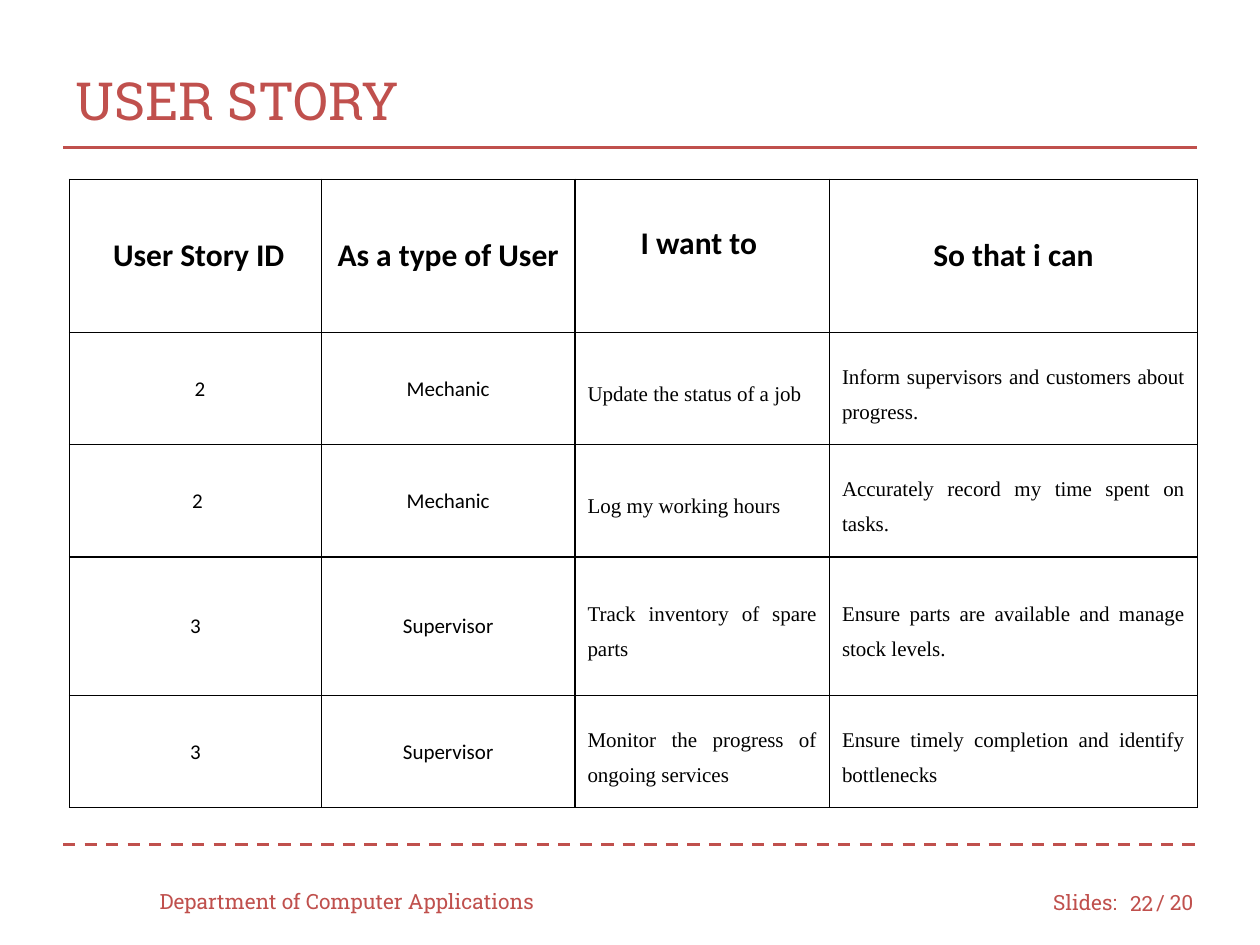
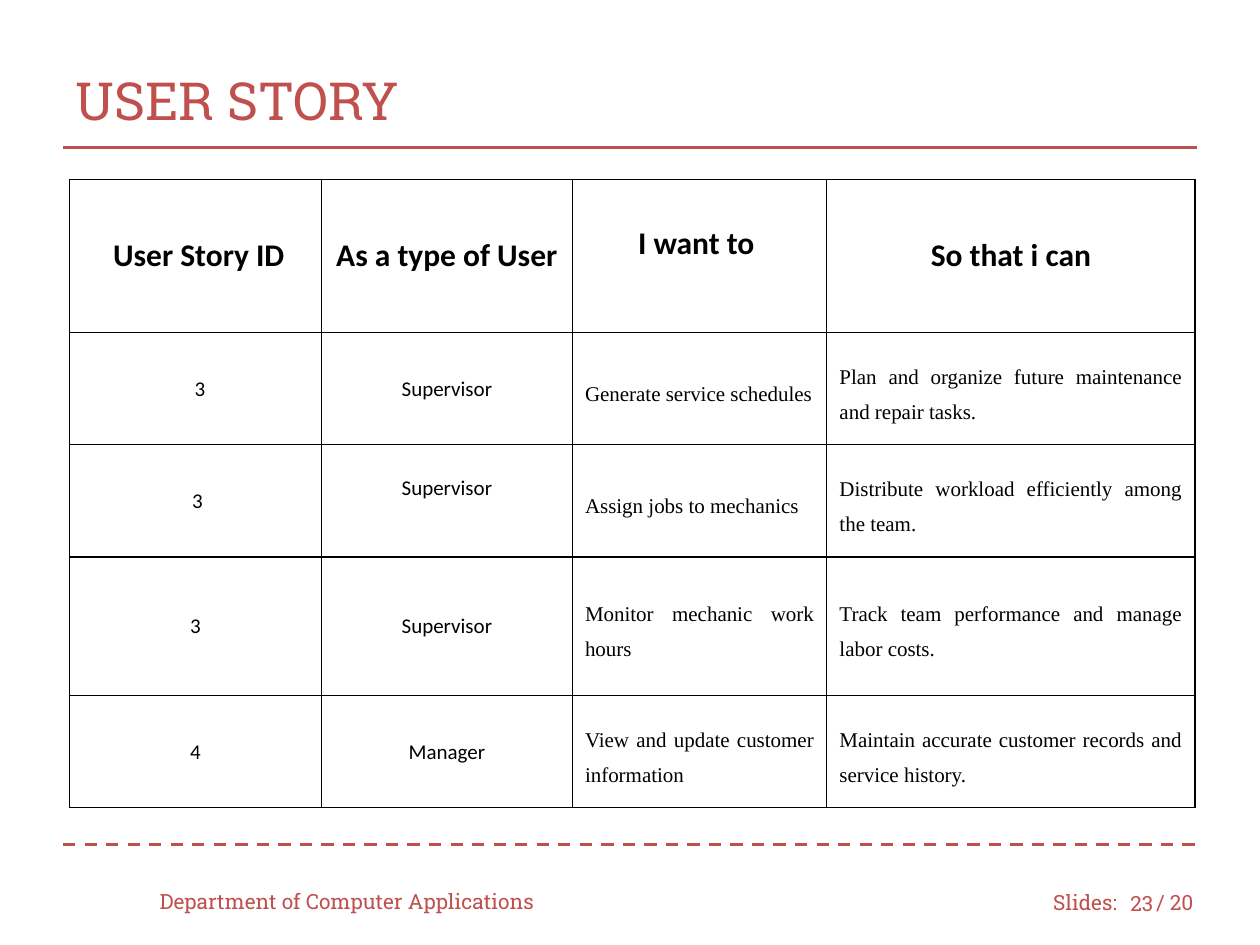
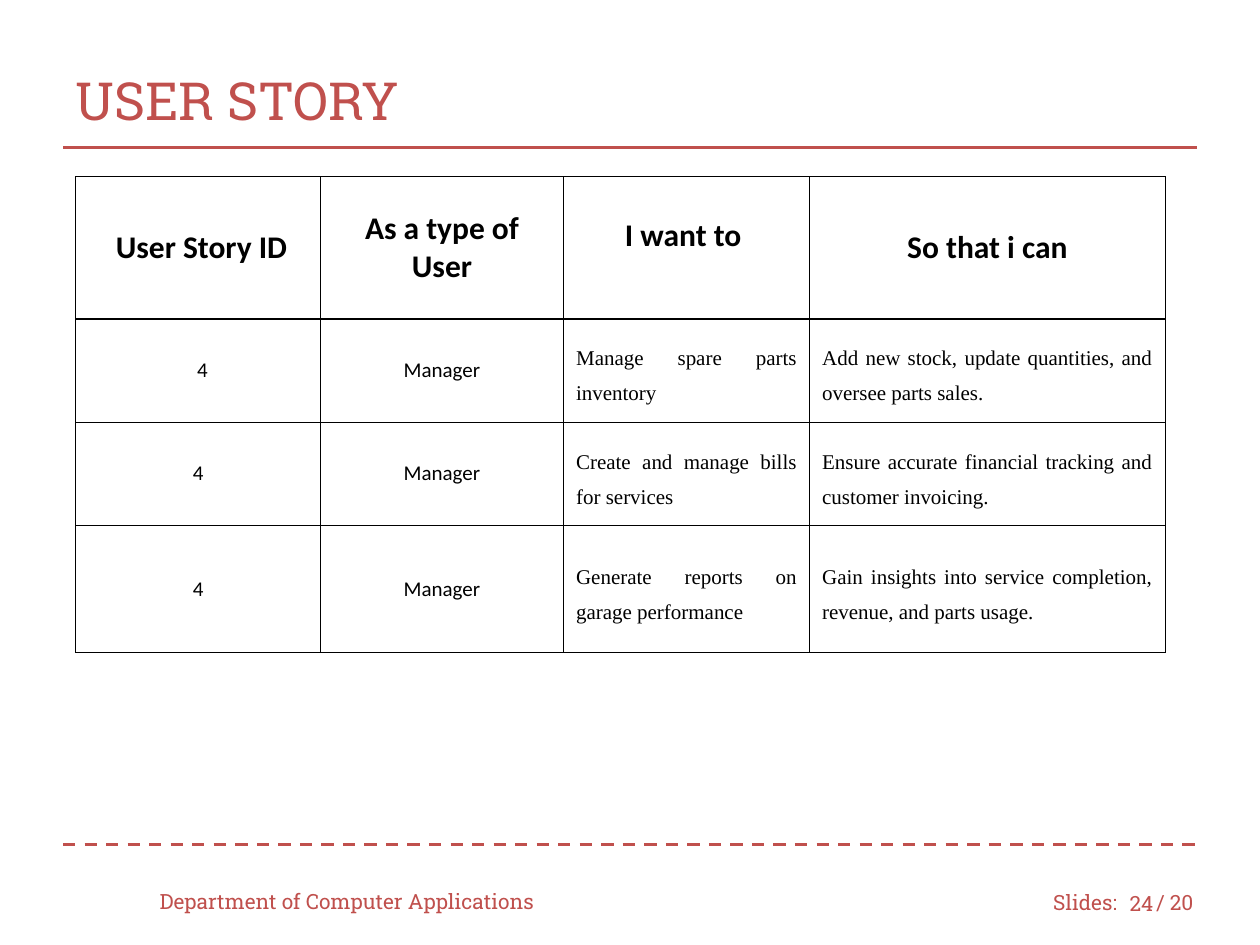
from lxml.etree import SubElement
from pptx import Presentation
from pptx.dml.color import RGBColor
from pptx.enum.dml import MSO_LINE_DASH_STYLE as DASH
from pptx.enum.shapes import MSO_CONNECTOR
from pptx.enum.text import MSO_ANCHOR as ANCHOR, PP_ALIGN as ALIGN
from pptx.oxml.ns import qn
from pptx.util import Cm, Pt

RED, BLACK, WHITE = "C0504D", "000000", "FFFFFF"
TITLE_FONT, LABEL_FONT, STORY_FONT = "Roboto Slab", "Calibri", "Times New Roman"
TITLE = "USER STORY"
DEPARTMENT = "Department of Computer Applications"
FIRST_NUMBER, TOTAL = 22, 20
HEADER = ("User Story ID", "As a type of User", "I want to", "So that i can")

# Lengths in cm. "id_shift" is the extra left margin of the first column by row;
# "raised" lists the (row, column) cells whose text sits above the middle.
SLIDES = [
    {
        "at": (1.4, 3.61),
        "cols": (5.08, 5.11, 5.13, 7.42),
        "rows": (3.1, 2.26, 2.26, 2.8, 2.26),
        "id_shift": (0.14, 0.18, 0.09, 0, 0),
        "raised": [(0, 2)],
        "stories": [
            ("2", "Mechanic", "Update the status of a job",
             "Inform supervisors and customers about progress."),
            ("2", "Mechanic", "Log my working hours",
             "Accurately record my time spent on tasks."),
            ("3", "Supervisor", "Track inventory of spare parts",
             "Ensure parts are available and manage stock levels."),
            ("3", "Supervisor", "Monitor the progress of ongoing services",
             "Ensure timely completion and identify bottlenecks"),
        ],
    },
    {
        "at": (1.4, 3.61),
        "cols": (5.08, 5.06, 5.13, 7.42),
        "rows": (3.1, 2.26, 2.26, 2.8, 2.26),
        "id_shift": (0.14, 0.18, 0.09, 0, 0),
        "raised": [(0, 2), (2, 1)],
        "stories": [
            ("3", "Supervisor", "Generate service schedules",
             "Plan and organize future maintenance and repair tasks."),
            ("3", "Supervisor", "Assign jobs to mechanics",
             "Distribute workload efficiently among the team."),
            ("3", "Supervisor", "Monitor mechanic work hours",
             "Track team performance and manage labor costs."),
            ("4", "Manager", "View and update customer information",
             "Maintain accurate customer records and service history."),
        ],
    },
    {
        "at": (1.53, 3.56),
        "cols": (4.93, 4.9, 4.96, 7.17),
        "rows": (2.87, 2.08, 2.08, 2.57),
        "id_shift": (0.14, 0.18, 0, 0),
        "raised": [(0, 2)],
        "stories": [
            ("4", "Manager", "Manage spare parts inventory",
             "Add new stock, update quantities, and oversee parts sales."),
            ("4", "Manager", "Create and manage bills for services",
             "Ensure accurate financial tracking and customer invoicing."),
            ("4", "Manager", "Generate reports on garage performance",
             "Gain insights into service completion, revenue, and parts usage."),
        ],
    },
]


def rgb(value):
    return RGBColor.from_string(value)


def style(p, font, size, color, bold=False, align=ALIGN.LEFT):
    p.alignment = align
    for r in p.runs:
        r.font.name, r.font.size, r.font.bold = font, Pt(size), bold
        r.font.color.rgb = rgb(color)


def add_text(s, text, x, y, w, h, size=12, align=ALIGN.LEFT):
    tf = s.shapes.add_textbox(Cm(x), Cm(y), Cm(w), Cm(h)).text_frame
    tf.word_wrap = True
    tf.vertical_anchor = ANCHOR.MIDDLE
    tf.text = text
    style(tf.paragraphs[0], TITLE_FONT, size, RED, align=align)


def add_rule(s, y, dash=None):
    """Draw a red line across the slide, margin to margin."""
    line = s.shapes.add_connector(
        MSO_CONNECTOR.STRAIGHT, Cm(1.27), Cm(y), Cm(24.13), Cm(y))
    line.line.color.rgb = rgb(RED)
    line.line.width = Pt(1.75)
    if dash:
        line.line.dash_style = dash
    SubElement(line._element.spPr, qn("a:effectLst"))


def add_frame(s, number):
    """Add the title, rules and footer that every slide has."""
    add_text(s, "Slides:", 20.98, 17.68, 1.91, 1.02)
    add_text(s, f"/ {TOTAL}", 23.06, 17.68, 1.47, 1.02)
    add_rule(s, 17.02, DASH.DASH)
    add_rule(s, 2.97)
    add_text(s, TITLE, 1.27, 0.84, 22.86, 2.34, size=30)
    add_text(s, DEPARTMENT, 2.97, 17.65, 8.46, 1.02)
    add_text(s, str(number), 22.43, 17.7, 1.07, 1.02, align=ALIGN.RIGHT)


def add_borders(cell):
    tcPr = cell._tc.get_or_add_tcPr()
    for i, side in enumerate(("lnL", "lnR", "lnT", "lnB")):
        ln = tcPr.makeelement(qn(f"a:{side}"), {"w": str(Pt(0.75))})
        fill = SubElement(ln, qn("a:solidFill"))
        SubElement(fill, qn("a:srgbClr"), val=BLACK)
        tcPr.insert(i, ln)


def fill_cell(cell, text, row, col):
    cell.text = text
    cell.vertical_anchor = ANCHOR.MIDDLE
    cell.fill.solid()
    cell.fill.fore_color.rgb = rgb(WHITE)
    add_borders(cell)
    p = cell.text_frame.paragraphs[0]
    if row > 0 and col > 1:
        style(p, STORY_FONT, 12, BLACK, align=ALIGN.JUSTIFY)
        p.line_spacing = 1.5
        p.space_before, p.space_after = Pt(5), Pt(10)
    else:
        cell.margin_top = cell.margin_bottom = Cm(0.25)
        style(p, LABEL_FONT, 12 if row else 18, BLACK, bold=row == 0,
              align=ALIGN.CENTER)


def add_stories(s, data):
    rows = [HEADER] + data["stories"]
    x, y = data["at"]
    table = s.shapes.add_table(
        len(rows), len(HEADER), Cm(x), Cm(y),
        Cm(sum(data["cols"])), Cm(sum(data["rows"]))).table
    table.first_row = table.horz_banding = False
    for column, width in zip(table.columns, data["cols"]):
        column.width = Cm(width)
    for row, height in zip(table.rows, data["rows"]):
        row.height = Cm(height)
    for i, texts in enumerate(rows):
        for j, text in enumerate(texts):
            fill_cell(table.cell(i, j), text, i, j)
        table.cell(i, 0).margin_left = Cm(0.25 + data["id_shift"][i])
    for i, j in data["raised"]:
        table.cell(i, j).margin_bottom = Cm(0.75)
    table.cell(0, 2).margin_right = Cm(0.39)


def main():
    prs = Presentation()
    prs.slide_width, prs.slide_height = Cm(25.4), Cm(19.05)
    for number, data in enumerate(SLIDES, FIRST_NUMBER):
        s = prs.slides.add_slide(prs.slide_layouts[6])
        add_frame(s, number)
        add_stories(s, data)
    prs.save("out.pptx")


if __name__ == "__main__":
    main()
